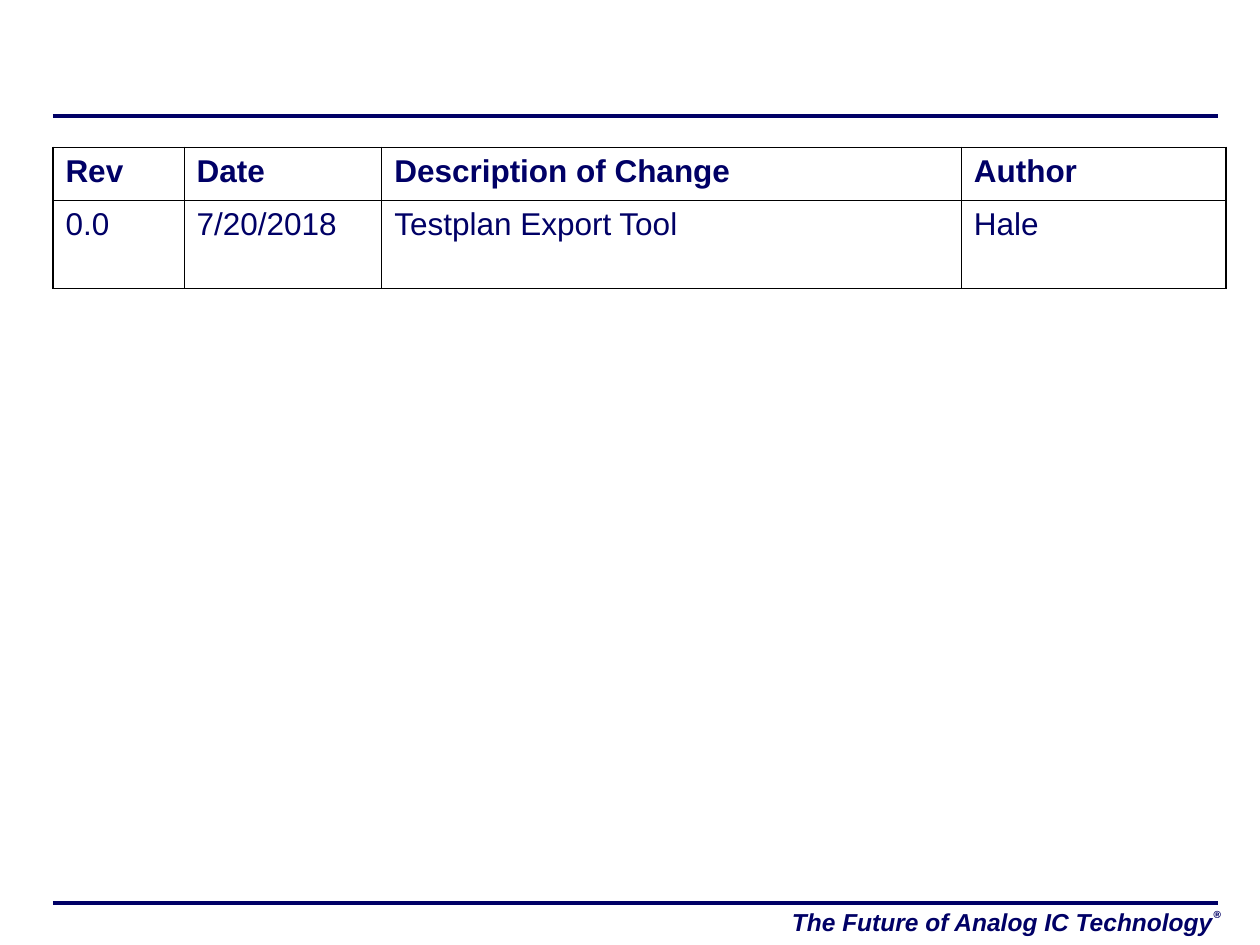
from dataclasses import dataclass

from lxml import etree
from pptx import Presentation
from pptx.dml.color import RGBColor
from pptx.enum.shapes import MSO_CONNECTOR
from pptx.enum.text import MSO_AUTO_SIZE, PP_ALIGN
from pptx.oxml.ns import qn
from pptx.util import Inches, Pt

STRAIGHT = MSO_CONNECTOR.STRAIGHT
LEFT, RIGHT = PP_ALIGN.LEFT, PP_ALIGN.RIGHT
FIT_SHAPE = MSO_AUTO_SIZE.SHAPE_TO_FIT_TEXT


@dataclass(frozen=True)
class Theme:
    navy: RGBColor = RGBColor(0x00, 0x00, 0x66)
    border: str = "000000"
    font: str = "Arial"
    mark_font: str = "Montserrat"
    table_size: float = 18
    slogan_size: float = 14
    mark_size: float = 10
    rule_width: float = 2.25
    outer_border: float = 1.08
    inner_border: float = 0.45


THEME = Theme()
COLUMN_WIDTHS = (1.04, 1.57, 4.6, 2.1)
ROW_HEIGHTS = (0.42, 0.7)
REVISIONS = (
    ("Rev", "Date", "Description of Change", "Author"),
    ("0.0", "7/20/2018", "Testplan Export Tool", "Hale"),
)


def add_text(paragraph, text, *, size, font=THEME.font, bold=False, italic=False,
             align=LEFT, space_before=0, baseline=None):
    """Append a formatted run; baseline is a raise in percent."""
    paragraph.alignment = align
    paragraph.space_before = Pt(space_before)
    run = paragraph.add_run()
    run.text = text
    run.font.name = font
    run.font.size = Pt(size)
    run.font.bold = bold
    run.font.italic = italic
    run.font.color.rgb = THEME.navy
    if baseline is not None:
        run.font._element.set("baseline", str(baseline * 1000))


def add_rule(slide, left, top, width):
    rule = slide.shapes.add_connector(
        STRAIGHT, Inches(left), Inches(top), Inches(left + width), Inches(top))
    rule.line.color.rgb = THEME.navy
    rule.line.width = Pt(THEME.rule_width)
    etree.SubElement(rule._element.spPr, qn("a:effectLst"))


def add_slogan(slide, left, top, width, height):
    box = slide.shapes.add_textbox(
        Inches(left), Inches(top), Inches(width), Inches(height))
    box.text_frame.word_wrap = False
    box.text_frame.auto_size = FIT_SHAPE
    paragraph = box.text_frame.paragraphs[0]
    style = dict(bold=True, italic=True, align=RIGHT)
    add_text(paragraph, "The Future of Analog IC Technology",
             size=THEME.slogan_size, **style)
    add_text(paragraph, "®", size=THEME.mark_size, font=THEME.mark_font,
             baseline=74, **style)


def set_borders(cell, outer_sides):
    """Draw all four borders, heavier on the sides that bound the table."""
    properties = cell._tc.get_or_add_tcPr()
    for index, side in enumerate("LRTB"):
        width = THEME.outer_border if side in outer_sides else THEME.inner_border
        line = etree.Element(qn(f"a:ln{side}"), w=str(Pt(width)))
        fill = etree.SubElement(line, qn("a:solidFill"))
        etree.SubElement(fill, qn("a:srgbClr"), val=THEME.border)
        properties.insert(index, line)


def add_revision_table(slide, left, top):
    last_row, last_column = len(ROW_HEIGHTS) - 1, len(COLUMN_WIDTHS) - 1
    table = slide.shapes.add_table(
        len(ROW_HEIGHTS), len(COLUMN_WIDTHS), Inches(left), Inches(top),
        Inches(sum(COLUMN_WIDTHS)), Inches(sum(ROW_HEIGHTS))).table
    table.horz_banding = False
    for column, width in zip(table.columns, COLUMN_WIDTHS):
        column.width = Inches(width)
    for row, height in zip(table.rows, ROW_HEIGHTS):
        row.height = Inches(height)
    for row_index, values in enumerate(REVISIONS):
        for column_index, value in enumerate(values):
            cell = table.cell(row_index, column_index)
            cell.fill.background()
            add_text(cell.text_frame.paragraphs[0], value, size=THEME.table_size,
                     bold=row_index == 0, space_before=4.5)
            edges = {"L": column_index == 0, "R": column_index == last_column,
                     "T": row_index == 0, "B": row_index == last_row}
            set_borders(cell, [side for side, outer in edges.items() if outer])


def main():
    presentation = Presentation()
    presentation.slide_width, presentation.slide_height = Inches(10), Inches(7.5)
    slide = presentation.slides.add_slide(presentation.slide_layouts[6])
    for top in (0.92, 7.17):
        add_rule(slide, 0.42, top, 9.25)
    add_slogan(slide, 6.17, 7.15, 3.62, 0.34)
    add_revision_table(slide, 0.42, 1.17)
    presentation.save("out.pptx")


if __name__ == "__main__":
    main()
